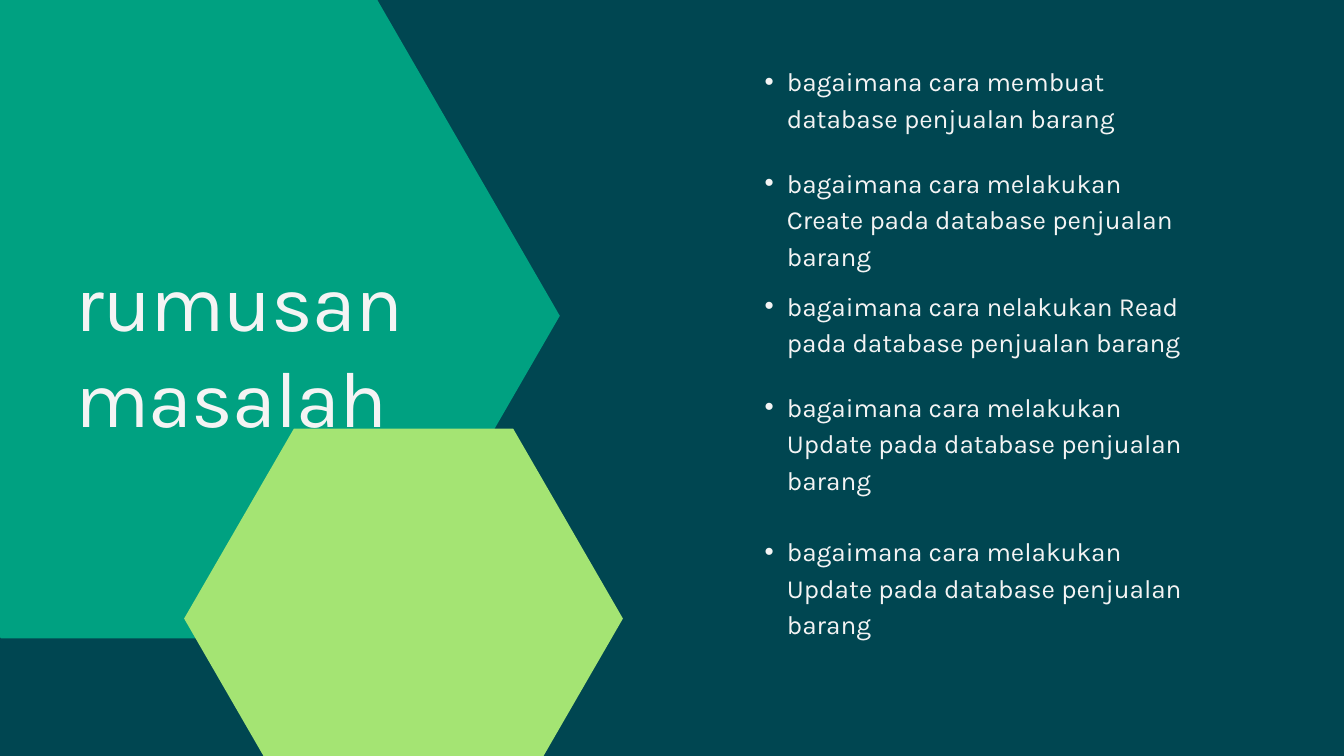
from dataclasses import dataclass

import lxml.etree
import pptx
import pptx.dml.color
import pptx.enum.text
import pptx.oxml.ns
import pptx.shapes.autoshape
import pptx.slide
import pptx.util

Inches = pptx.util.Inches
Pt = pptx.util.Pt
qn = pptx.oxml.ns.qn

FONT = "Karla"
NAVY, TEAL, LIME, WHITE = "004651", "00A181", "A4E473", "F4F4F4"


@dataclass
class Hexagon:
    left: float
    top: float
    width: float
    height: float
    color: str


@dataclass
class Question:
    top: float
    height: float
    text: str


HEXAGONS = [
    Hexagon(-2.76, -0.1, 11.09, 9.6, TEAL),
    Hexagon(2.74, 6.38, 6.53, 5.65, LIME),
]

QUESTIONS = [
    Question(0.9, 1.07, "bagaimana cara membuat database penjualan barang"),
    Question(2.41, 1.07, "bagaimana cara melakukan Create pada database penjualan barang"),
    Question(4.24, 1.07, "bagaimana cara nelakukan Read pada database penjualan barang"),
    Question(5.74, 1.61, "bagaimana cara melakukan Update pada database penjualan barang"),
    Question(7.89, 1.61, "bagaimana cara melakukan Update pada database penjualan barang"),
]


def set_fill(fill: pptx.dml.fill.FillFormat, color: str) -> None:
    fill.solid()
    fill.fore_color.rgb = pptx.dml.color.RGBColor.from_string(color)


def add_hexagon(s: pptx.slide.Slide, h: Hexagon) -> pptx.shapes.autoshape.Shape:
    fractions = [(1, 0.5), (0.75, 1), (0.25, 1), (0, 0.5), (0.25, 0), (0.75, 0)]
    points = [(Inches(h.left + h.width * x), Inches(h.top + h.height * y)) for x, y in fractions]
    builder = s.shapes.build_freeform(*points[0])
    builder.add_line_segments(points[1:], close=True)
    sp = builder.convert_to_shape()
    sp.shadow.inherit = False
    set_fill(sp.fill, h.color)
    sp.line.fill.background()
    return sp


def add_text(s: pptx.slide.Slide, text: str, *, left: float, top: float, width: float,
             height: float, size: float, leading: float, tracking: float = 0,
             bullet: bool = False) -> pptx.shapes.autoshape.Shape:
    sp = s.shapes.add_textbox(Inches(left), Inches(top), Inches(width), Inches(height))
    tf = sp.text_frame
    tf.word_wrap = True
    tf.auto_size = pptx.enum.text.MSO_AUTO_SIZE.SHAPE_TO_FIT_TEXT
    tf.margin_left = tf.margin_right = tf.margin_top = tf.margin_bottom = 0
    p = tf.paragraphs[0]
    p.line_spacing = Pt(leading)
    r = p.add_run()
    r.text = text
    r.font.name = FONT
    r.font.size = Pt(size)
    set_fill(r.font.fill, WHITE)
    if tracking:
        r.font._element.set("spc", str(round(tracking * 100)))
    if bullet:
        p.level = 1
        pPr = p._p.get_or_add_pPr()
        pPr.set("marL", str(Inches(0.66)))
        pPr.set("indent", str(Inches(-0.33)))
        lxml.etree.SubElement(pPr, qn("a:buFont"), typeface="Arial")
        lxml.etree.SubElement(pPr, qn("a:buChar"), char="•")
    return sp


def main() -> None:
    prs = pptx.Presentation()
    prs.slide_width = Inches(20)
    prs.slide_height = Inches(11.25)
    s = prs.slides.add_slide(prs.slide_layouts[6])
    set_fill(s.background.fill, NAVY)
    for h in HEXAGONS:
        add_hexagon(s, h)
    add_text(s, "rumusan masalah", left=1.12, top=3.76, width=4.88, height=2.81,
             size=85, leading=102, tracking=-0.8)
    for q in QUESTIONS:
        add_text(s, q.text, left=11.05, top=q.top, width=6.68, height=q.height,
                 size=28, leading=39.2, bullet=True)
    prs.save("out.pptx")


if __name__ == "__main__":
    main()
